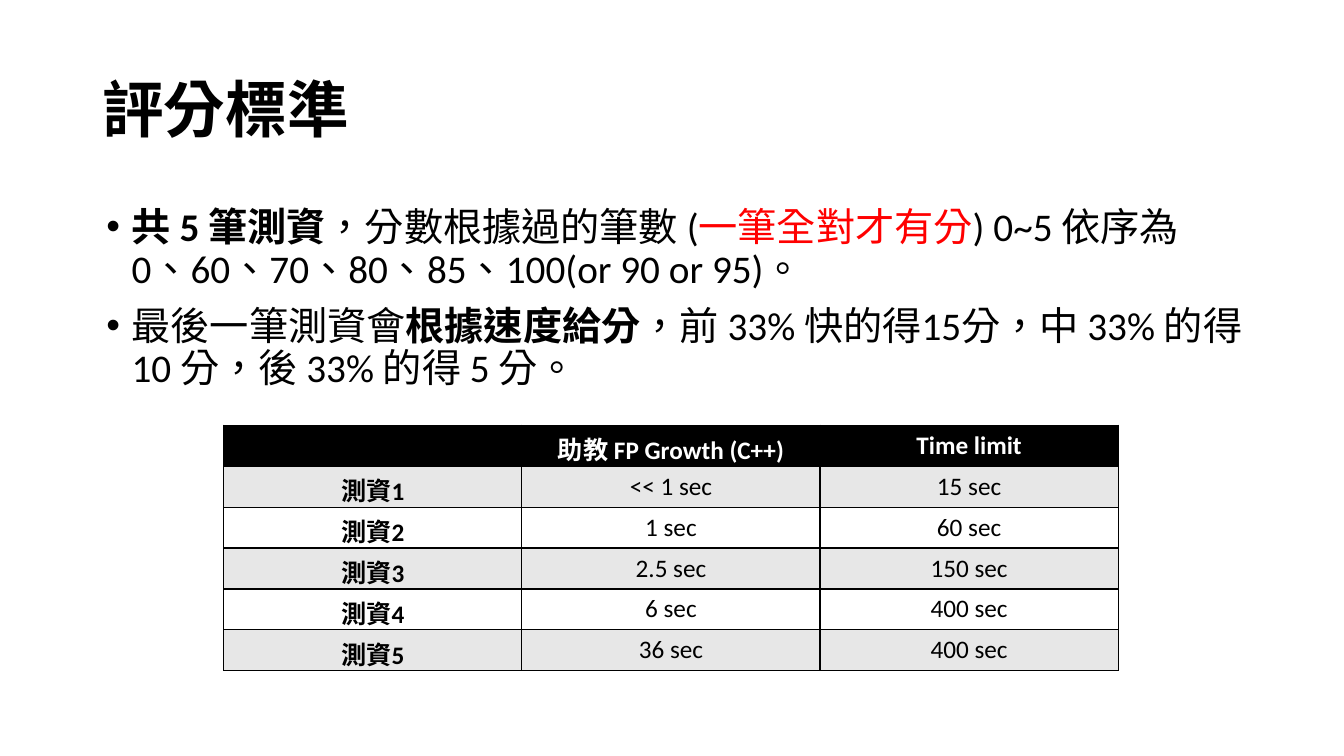
from pptx import Presentation
from pptx.dml.color import RGBColor as RGB
from pptx.enum.lang import MSO_LANGUAGE_ID as LANG
from pptx.enum.text import MSO_ANCHOR as ANCHOR, PP_ALIGN as ALIGN
from pptx.oxml import parse_xml
from pptx.oxml.ns import nsdecls
from pptx.util import Pt

PX = 9525  # EMU per px, 96 px to the inch
THEME = {
    "font": "Calibri",
    "black": RGB(0, 0, 0),
    "white": RGB(255, 255, 255),
    "band": RGB(0xE7, 0xE7, 0xE7),
    "red": RGB(255, 0, 0),
    "title": Pt(44),
    "body": Pt(28),
    "table": Pt(18),
}


def add_run(p, text, size, bold=False, color="black"):
    r = p.add_run()
    r.text = text
    style = {"name": THEME["font"], "size": THEME[size], "bold": bold,
             "language_id": LANG.TRADITIONAL_CHINESE}
    for name, value in style.items():
        setattr(r.font, name, value)
    r.font.color.rgb = THEME[color]


def add_textbox(left, top, width, height, anchor):
    box = slide.shapes.add_textbox(left * PX, top * PX, width * PX, height * PX)
    tf = box.text_frame
    tf.word_wrap = True
    tf.vertical_anchor = anchor
    return tf


prs = Presentation()
prs.slide_width, prs.slide_height = 1280 * PX, 720 * PX
slide = prs.slides.add_slide(prs.slide_layouts[6])

# Title
p = add_textbox(88, 38, 1104, 139, ANCHOR.MIDDLE).paragraphs[0]
p.line_spacing = 0.9
add_run(p, "評分標準", "title", bold=True)

# Grading rules
rules = [
    [("共 5 筆測資", True, "black"),
     ("，分數根據過的筆數 (", False, "black"),
     ("一筆全對才有分", False, "red"),
     (") 0~5 依序為 0、60、70、80、85、100(or 90 or 95)。", False, "black")],
    [("最後一筆測資會", False, "black"),
     ("根據速度給分", True, "black"),
     ("，前 33% 快的得15分，中 33% 的得 10 分，後 33% 的得 5 分。", False, "black")],
]
tf = add_textbox(92, 193, 1104, 457, ANCHOR.TOP)
for i, rule in enumerate(rules):
    p = tf.add_paragraph() if i else tf.paragraphs[0]
    p.line_spacing = 0.9
    p.space_before = Pt(10)
    pPr = p._p.get_or_add_pPr()
    pPr.set("marL", str(24 * PX))
    pPr.set("indent", str(-24 * PX))
    for bullet in ('<a:buFont {} typeface="Arial"/>', '<a:buChar {} char="•"/>'):
        pPr.append(parse_xml(bullet.format(nsdecls("a"))))
    for text, bold, color in rule:
        add_run(p, text, "body", bold, color)

# Time limits
rows = [
    ("", "助教 FP Growth (C++)", "Time limit"),
    ("測資1", "<< 1 sec", "15 sec"),
    ("測資2", "1 sec", "60 sec"),
    ("測資3", "2.5 sec", "150 sec"),
    ("測資4", "6 sec", "400 sec"),
    ("測資5", "36 sec", "400 sec"),
]
COL_W, ROW_H = 284, 39
table = slide.shapes.add_table(len(rows), 3, 213 * PX, 405 * PX,
                               3 * COL_W * PX, len(rows) * ROW_H * PX).table
table.first_row = table.horz_banding = False
for i, row in enumerate(rows):
    header = i == 0
    fill = "black" if header else ("band" if i % 2 else "white")
    for j, text in enumerate(row):
        cell = table.cell(i, j)
        cell.fill.solid()
        cell.fill.fore_color.rgb = THEME[fill]
        p = cell.text_frame.paragraphs[0]
        p.alignment = ALIGN.CENTER
        if text:
            add_run(p, text, "table", header or j == 0, "white" if header else "black")
        tcPr = cell._tc.get_or_add_tcPr()
        for k, side in enumerate("LRTB"):
            tcPr.insert(k, parse_xml(
                f'<a:ln{side} {nsdecls("a")} w="{Pt(1)}"><a:solidFill>'
                f'<a:srgbClr val="{THEME["black"]}"/></a:solidFill></a:ln{side}>'))

prs.save("out.pptx")
